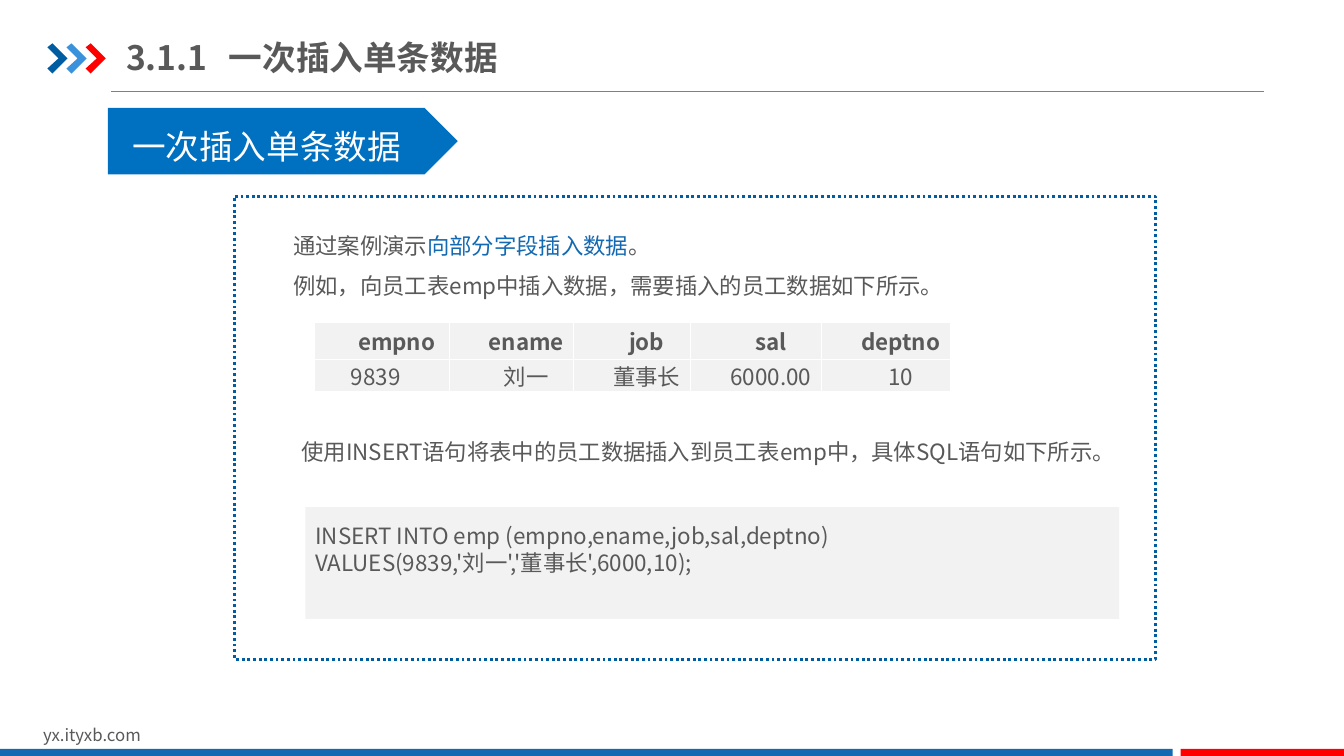
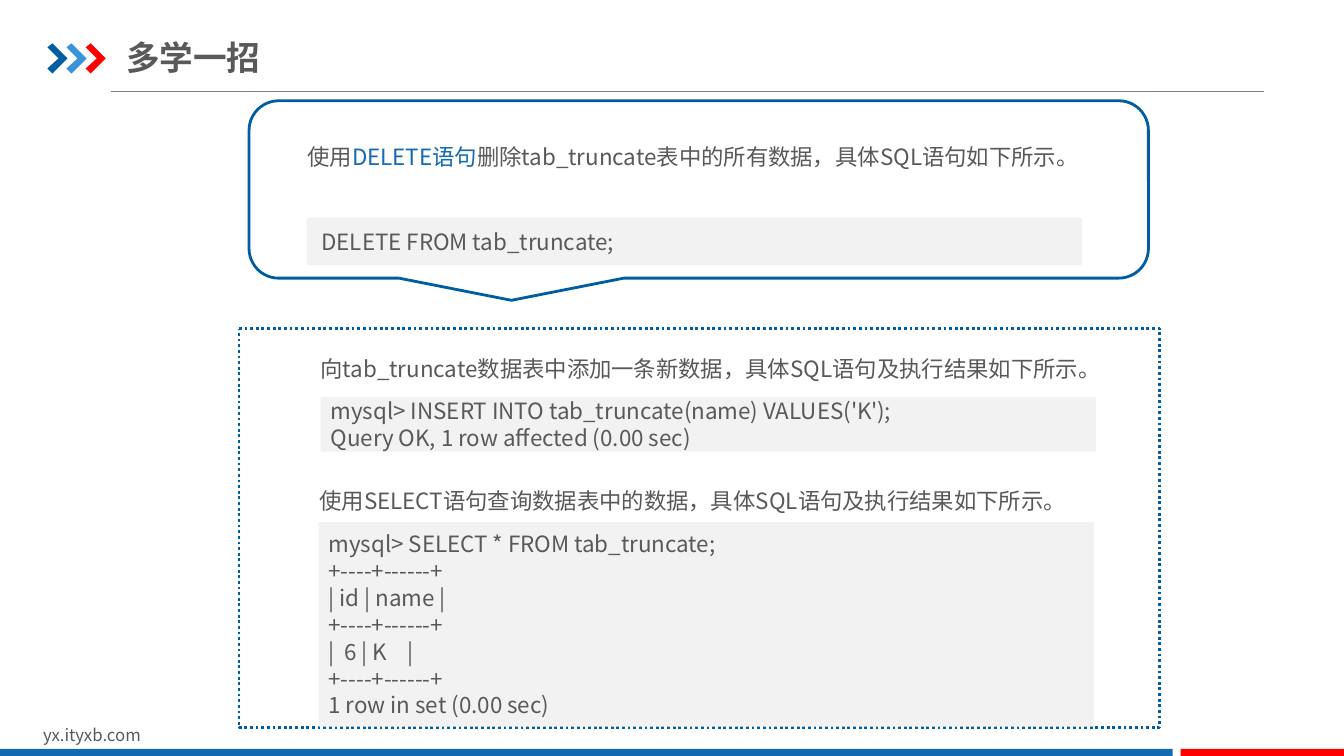
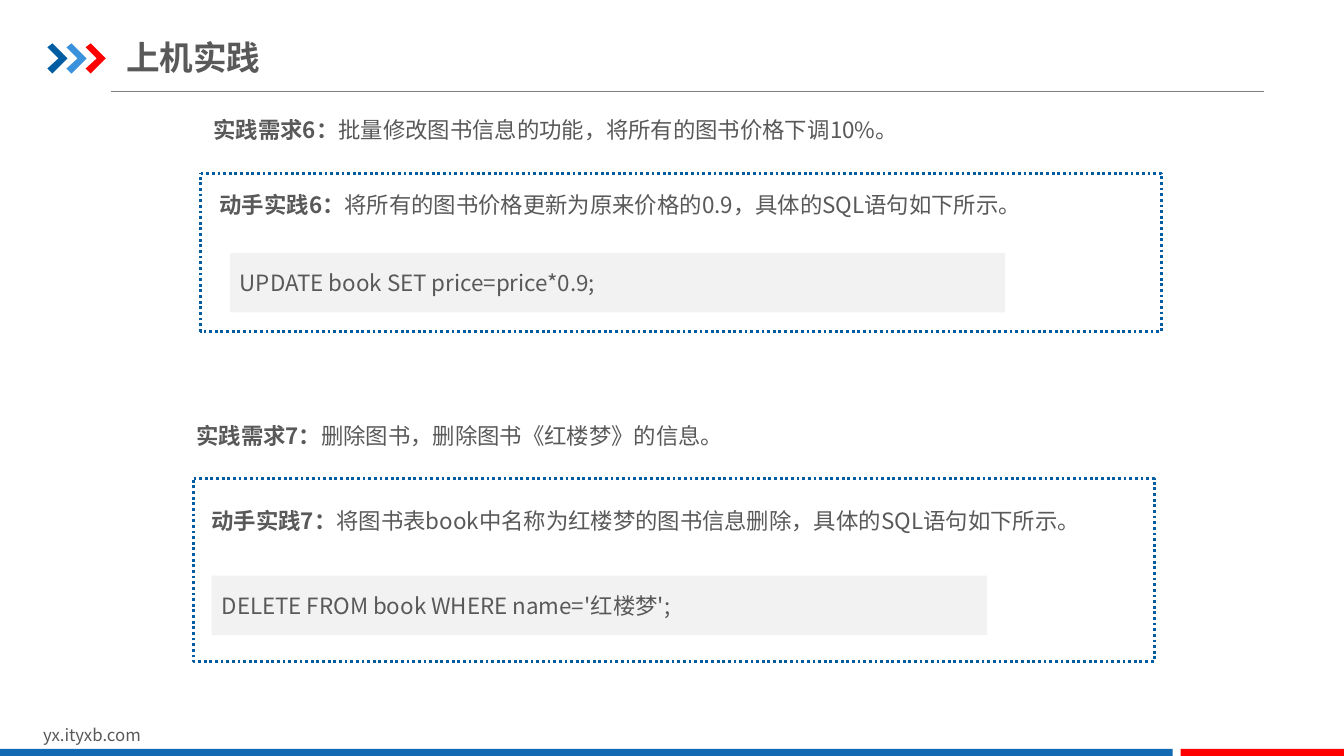
from dataclasses import dataclass

from lxml.etree import SubElement
from pptx import Presentation
from pptx.dml.color import RGBColor as RGB
from pptx.enum.dml import MSO_LINE as DASH
from pptx.enum.shapes import MSO_CONNECTOR as LINK, MSO_SHAPE as FORM
from pptx.enum.text import MSO_ANCHOR as ANCHOR, MSO_AUTO_SIZE as FIT, PP_ALIGN as ALIGN
from pptx.oxml.ns import qn
from pptx.util import Pt

PX = 9144


@dataclass(frozen=True)
class Theme:
    font: str = "Noto Sans CJK SC"
    ink: str = "595959"
    white: str = "FFFFFF"
    pale: str = "F2F2F2"
    rule: str = "808080"
    navy: str = "005DA2"
    sky: str = "3992DB"
    blue: str = "1369B2"
    tab: str = "0070C0"
    red: str = "FF0000"
    head: int = 24
    body: int = 16
    foot: int = 12


T = Theme()
LOOKS = {"": (T.ink, False), "key": (T.blue, False), "bold": (T.ink, True)}

SITE = "yx.ityxb.com"
BANDS = [((0, 743, 1163, 9), T.blue), ((1171, 743, 163, 9), T.red)]
ARROW = [(0, 4), (5, 0), (20, 15), (5, 30), (0, 25), (11, 15)]

STAFF = [
    ["empno", "ename", "job", "sal", "deptno"],
    ["9839", "刘一", "董事长", "6000.00", "10"],
]
COLS = [134, 123, 116, 130, 128]
ROWS = [37, 32]

SLIDES = [
    ("3.1.1\t一次插入单条数据", [
        ("frame", (233, 195, 913, 459)),
        ("note", (281, 212, 821, 91), [
            [("通过案例演示", ""), ("向部分字段插入数据", "key"), ("。", "")],
            [("例如，向员工表emp中插入数据，需要插入的员工数据如下所示。", "")],
        ]),
        ("grid", (312, 320, sum(COLS), sum(ROWS)), STAFF),
        ("note", (289, 416, 821, 50), [
            [("使用INSERT语句将表中的员工数据插入到员工表emp中，具体SQL语句如下所示。", "")],
        ]),
        ("code", (303, 503, 807, 111), [
            "INSERT INTO emp (empno,ename,job,sal,deptno)",
            "VALUES(9839,'刘一','董事长',6000,10);",
        ], 32),
        ("label", (107, 107, 347, 66), "一次插入单条数据"),
    ]),
    ("多学一招", [
        ("bubble", (247, 100, 892, 176)),
        ("note", (295, 124, 806, 50), [
            [("使用", ""), ("DELETE语句", "key"),
             ("删除tab_truncate表中的所有数据，具体SQL语句如下所示。", "")],
        ]),
        ("code", (304, 216, 769, 47), [" DELETE FROM tab_truncate;"]),
        ("frame", (237, 326, 913, 396)),
        ("note", (308, 334, 806, 50), [
            [("向tab_truncate数据表中添加一条新数据，具体SQL语句及执行结果如下所示。", "")],
        ]),
        ("code", (318, 394, 769, 54), [
            "mysql> INSERT INTO tab_truncate(name) VALUES('K');",
            "Query OK, 1 row affected (0.00 sec)",
        ]),
        ("note", (307, 465, 806, 50), [
            [("使用SELECT语句查询数据表中的数据，具体SQL语句及执行结果如下所示。", "")],
        ]),
        ("code", (316, 518, 769, 203), [
            "mysql> SELECT * FROM tab_truncate;",
            "+----+------+",
            "| id | name |",
            "+----+------+",
            "|  6 | K    |",
            "+----+------+",
            "1 row in set (0.00 sec)",
        ]),
    ]),
    ("上机实践", [
        ("note", (202, 97, 1023, 50), [
            [("实践需求6：", "bold"), ("批量修改图书信息的功能，将所有的图书价格下调10%。", "")],
        ]),
        ("note", (185, 401, 1023, 50), [
            [("实践需求7：", "bold"), ("删除图书，删除图书《红楼梦》的信息。", "")],
        ]),
        ("frame", (199, 172, 953, 157)),
        ("code", (228, 251, 769, 59), ["UPDATE book SET price=price*0.9;"]),
        ("frame", (192, 475, 953, 181)),
        ("code", (210, 571, 769, 59), ["DELETE FROM book WHERE name='红楼梦';"]),
        ("note", (208, 171, 851, 50), [
            [("动手实践6：", "bold"),
             ("将所有的图书价格更新为原来价格的0.9，具体的SQL语句如下所示。", "")],
        ]),
        ("note", (200, 485, 871, 50), [
            [("动手实践7：", "bold"),
             ("将图书表book中名称为红楼梦的图书信息删除，具体的SQL语句如下所示。", "")],
        ]),
    ]),
]


def emu(box):
    return [n * PX for n in box]


def ink(run, size=T.body, tone=T.ink, bold=False):
    font = run.font
    font.size, font.bold = Pt(size), bold
    font.color.rgb = RGB.from_string(tone)
    font.name = T.font
    SubElement(run._r.get_or_add_rPr(), qn("a:ea"), typeface=T.font)


def style(frame, **look):
    for para in frame.paragraphs:
        for run in para.runs:
            ink(run, **look)


def pad(frame, left=10, top=5, right=10, bottom=5):
    frame.margin_left, frame.margin_top = left * PX, top * PX
    frame.margin_right, frame.margin_bottom = right * PX, bottom * PX


def paint(shape, fill, edge=None, dash=None):
    shape.shadow.inherit = False
    shape.fill.solid()
    shape.fill.fore_color.rgb = RGB.from_string(fill)
    if edge:
        shape.line.color.rgb = RGB.from_string(edge)
        shape.line.width = Pt(2)
        if dash:
            shape.line.dash_style = dash
    else:
        shape.line.fill.background()
    return shape


def block(slide, form, box, *look):
    return paint(slide.shapes.add_shape(form, *emu(box)), *look)


def write(shape, text, size=T.body, tone=T.ink, **gaps):
    frame = shape.text_frame
    frame.word_wrap = True
    frame.vertical_anchor = ANCHOR.MIDDLE
    pad(frame, **gaps)
    frame.text = text
    for para in frame.paragraphs:
        para.alignment = ALIGN.LEFT
    style(frame, size=size, tone=tone)


def frame(slide, box):
    block(slide, FORM.FLOWCHART_PROCESS, box, T.white, T.navy, DASH.ROUND_DOT)


def bubble(slide, box):
    block(slide, FORM.ROUNDED_RECTANGULAR_CALLOUT, box, T.white, T.navy)


def code(slide, box, lines, bottom=5):
    write(block(slide, FORM.RECTANGLE, box, T.pale), "\n".join(lines), bottom=bottom)


def label(slide, box, text):
    write(block(slide, FORM.PENTAGON, box, T.tab), text, T.head, T.white, left=24, top=15)


def note(slide, box, paras):
    body = slide.shapes.add_textbox(*emu(box)).text_frame
    body.word_wrap = True
    body.auto_size = FIT.SHAPE_TO_FIT_TEXT
    for n, parts in enumerate(paras):
        para = body.add_paragraph() if n else body.paragraphs[0]
        para.line_spacing = 1.5
        for text, look in parts:
            run = para.add_run()
            run.text = text
            tone, bold = LOOKS[look]
            ink(run, tone=tone, bold=bold)


def edge(cell):
    props = cell._tc.get_or_add_tcPr()
    for side in "LRTB":
        line = SubElement(props, qn(f"a:ln{side}"), w=str(Pt(1)))
        fill = SubElement(line, qn("a:solidFill"))
        SubElement(fill, qn("a:srgbClr"), val=T.white)


def grid(slide, box, data):
    table = slide.shapes.add_table(len(data), len(data[0]), *emu(box)).table
    table.first_row = table.horz_banding = False
    for col, wide in zip(table.columns, COLS):
        col.width = wide * PX
    for r, (row, high) in enumerate(zip(table.rows, ROWS)):
        row.height = high * PX
        for c, cell in enumerate(row.cells):
            edge(cell)
            cell.fill.solid()
            cell.fill.fore_color.rgb = RGB.from_string(T.pale)
            pad(cell, 7, 0, 7, 0)
            cell.vertical_anchor = ANCHOR.MIDDLE
            cell.text = data[r][c]
            para = cell.text_frame.paragraphs[0]
            para.alignment = ALIGN.JUSTIFY if r and not c else ALIGN.CENTER
            para._p.get_or_add_pPr().set("indent", str(29 * PX))
            style(cell.text_frame, bold=r == 0)


def title(slide, text):
    body = slide.shapes.title.text_frame
    body.auto_size = FIT.NONE
    body.word_wrap = True
    body.vertical_anchor = ANCHOR.MIDDLE
    pad(body, 0, 7, 0, 7)
    body.text = text
    para = body.paragraphs[0]
    para.alignment = ALIGN.LEFT
    tabs = SubElement(para._p.get_or_add_pPr(), qn("a:tabLst"))
    SubElement(tabs, qn("a:tab"), pos=str(102 * PX), algn="l")
    style(body, size=T.head, bold=True)


def dress(layout, slide):
    for spot in list(layout.placeholders):
        if spot.placeholder_format.idx:
            layout.shapes.element.remove(spot.element)
        else:
            spot.left, spot.top, spot.width, spot.height = emu((125, 29, 426, 55))
    shapes = slide.shapes
    rule = shapes.add_connector(LINK.STRAIGHT, *emu((110, 91, 1254, 91)))
    rule.line.color.rgb = RGB.from_string(T.rule)
    rule.line.width = Pt(0.75)
    SubElement(rule.element.spPr, qn("a:effectLst"))
    for n, tone in enumerate((T.navy, T.sky, T.red)):
        dots = [(47 + 19 * n + x, 43 + y) for x, y in ARROW]
        pen = shapes.build_freeform(*dots[0], scale=PX)
        pen.add_line_segments(dots[1:], close=True)
        paint(pen.convert_to_shape(), tone)
    foot = shapes.add_textbox(*emu((33, 714, 318, 30))).text_frame
    foot.word_wrap = True
    foot.text = SITE
    style(foot, size=T.foot)
    for box, tone in BANDS:
        block(slide, FORM.RECTANGLE, box, tone)
    for shape in list(shapes):
        if not shape.is_placeholder:
            layout.shapes.element.append(shape.element)


DRAW = {"frame": frame, "bubble": bubble, "code": code,
        "label": label, "note": note, "grid": grid}


def main():
    deck = Presentation()
    deck.slide_width, deck.slide_height = emu((1333, 750))
    layout = deck.slide_layouts[5]
    for n, (head, parts) in enumerate(SLIDES):
        slide = deck.slides.add_slide(layout)
        if n == 0:
            dress(layout, slide)
        title(slide, head)
        for kind, *args in parts:
            DRAW[kind](slide, *args)
    deck.save("out.pptx")


if __name__ == "__main__":
    main()
